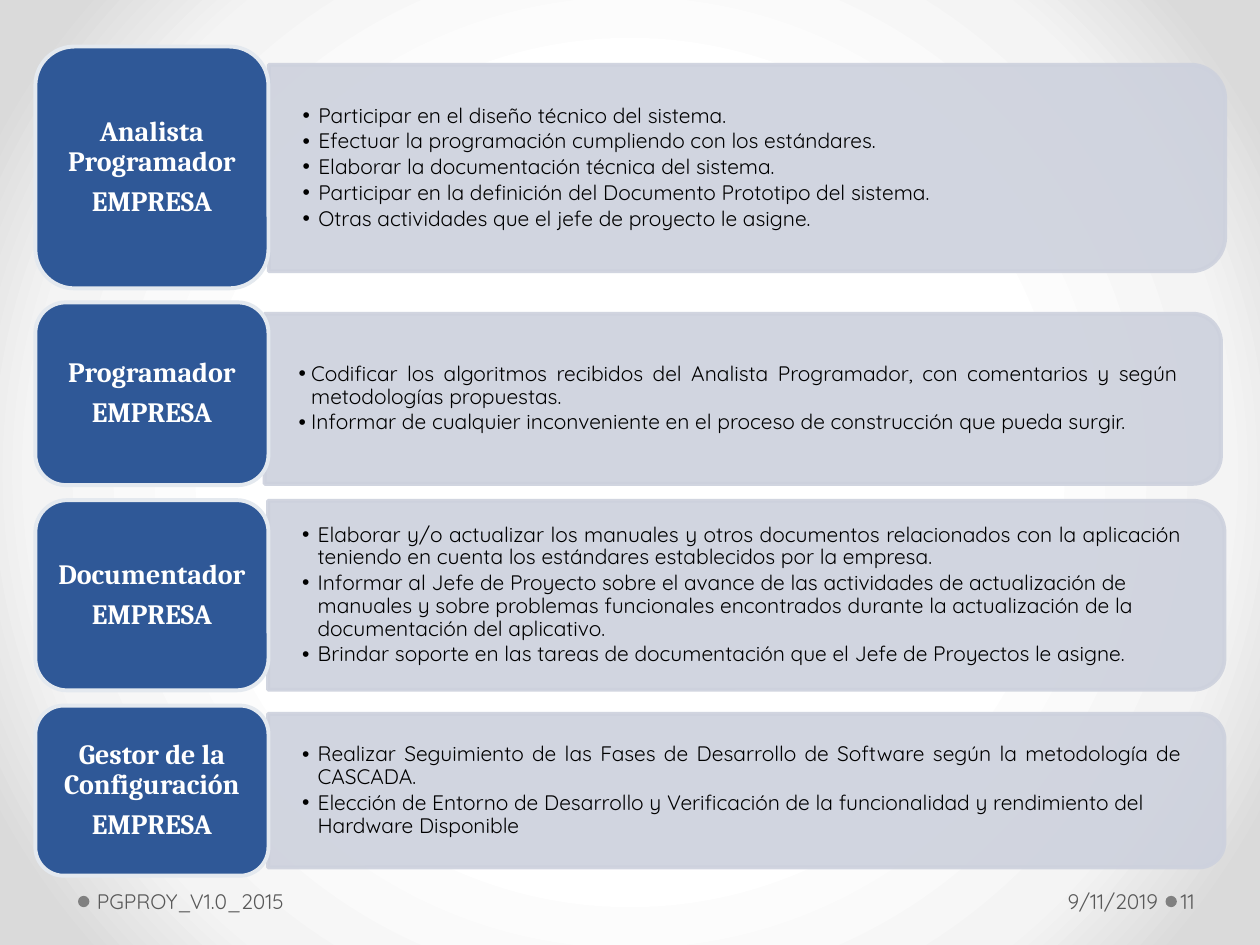
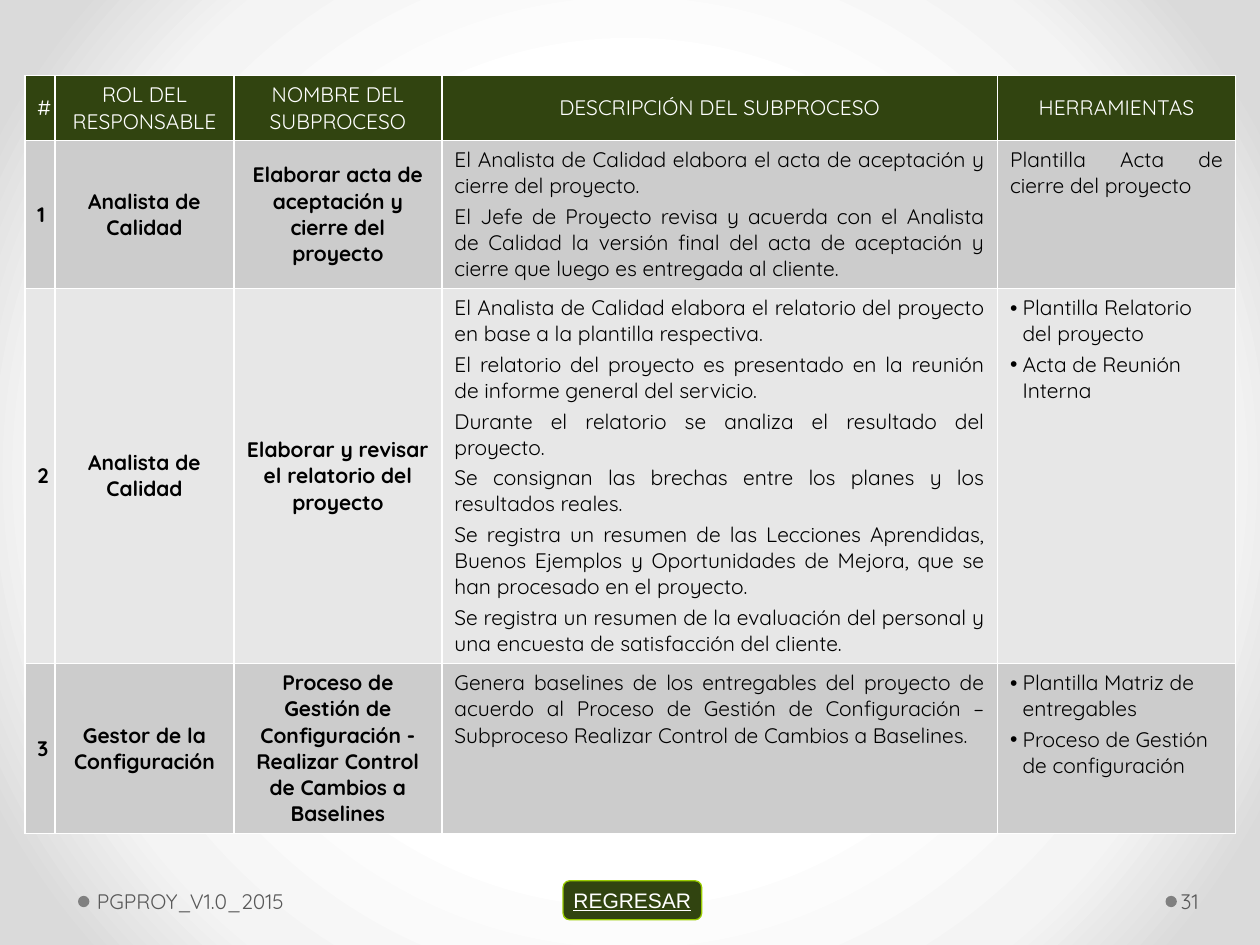
from pptx import Presentation
from pptx.dml.color import RGBColor
from pptx.enum.shapes import MSO_SHAPE as Preset
from pptx.enum.text import MSO_ANCHOR as Anchor, PP_ALIGN as Align
from pptx.oxml import parse_xml
from pptx.oxml.ns import nsdecls, qn
from pptx.util import Pt

BODY_FONT, CARD_FONT, BUTTON_FONT = "Quicksand", "Cambria", "Arial"
WHITE, BLACK = "FFFFFF", "000000"
FOOTER_GREY, DOT_GREY = "595959", "808080"
CARD_BLUE, CARD_EDGE, BAND_GREY = "2F5897", "E4E9EF", "CDD1DD"
HEADER_GREEN, BUTTON_EDGE = "314410", "99CC00"
ROW_GREYS = ("CCCCCC", "E7E7E7")
GLOW = ((50, "FFFFFF"), (76, "F4F4F4"), (92, "DADADA"))

FOOTER_TOP, FOOTER_HEIGHT = 500.4, 28.8
CARD_LEFT, CARD_WIDTH, BAND_WIDTH = 20.2, 133.2, 546.5

# title lines, card (top, height), band (left, top, height), bullet indent, duties
ROLES = [
    (["Analista Programador", "EMPRESA"], (26.6, 138.2), (153.6, 37, 118), 8.9, [
        "Participar en el diseño técnico del sistema.",
        "Efectuar la programación cumpliendo con los estándares.",
        "Elaborar la documentación técnica del sistema.",
        "Participar en la definición del Documento Prototipo del sistema.",
        "Otras actividades que el jefe de proyecto le asigne."]),
    (["Programador", "EMPRESA"], (172.8, 104.4), (151.2, 179.3, 97.2), 7.2, [
        "Codificar los algoritmos recibidos del Analista Programador, con "
        "comentarios y según metodologías propuestas.",
        "Informar de cualquier inconveniente en el proceso de construcción "
        "que pueda surgir."]),
    (["Documentador", "EMPRESA"], (285.8, 108.7), (153.2, 286.2, 108), 8.9, [
        "Elaborar y/o actualizar los manuales y otros documentos relacionados "
        "con la aplicación teniendo en cuenta los estándares establecidos por "
        "la empresa.",
        "Informar al Jefe de Proyecto sobre el avance de las actividades de "
        "actualización de manuales y sobre problemas funcionales encontrados "
        "durante la actualización de la documentación del aplicativo.",
        "Brindar soporte en las tareas de documentación que el Jefe de "
        "Proyectos le asigne."]),
    (["Gestor de la Configuración", "EMPRESA"], (403.2, 97.2), (153.2, 407.9, 87.8), 8.9, [
        "Realizar Seguimiento de las Fases de Desarrollo de Software según la "
        "metodología de CASCADA.",
        "Elección de Entorno de Desarrollo y Verificación de la funcionalidad "
        "y rendimiento del Hardware Disponible"]),
]

COLUMN_WIDTHS = (17.3, 102.2, 118.8, 317.5, 136.1)
ROW_HEIGHTS = (37, 84.6, 214.3, 97.1)
HEADINGS = ("#", "ROL DEL RESPONSABLE", "NOMBRE DEL SUBPROCESO",
            "DESCRIPCIÓN DEL SUBPROCESO", "HERRAMIENTAS")
# role, subprocess, description paragraphs, tools
SUBPROCESSES = [
    ("Analista de Calidad", "Elaborar acta de aceptación y cierre del proyecto",
     ["El Analista de Calidad elabora el acta de aceptación y cierre del proyecto.",
      "El Jefe de Proyecto revisa y acuerda con el Analista de Calidad la versión "
      "final del acta de aceptación y cierre que luego es entregada al cliente."],
     ["Plantilla Acta de cierre del proyecto"]),
    ("Analista de Calidad", "Elaborar y revisar el relatorio del proyecto",
     ["El Analista de Calidad elabora el relatorio del proyecto en base a la "
      "plantilla respectiva.",
      "El relatorio del proyecto es presentado en la reunión de informe general "
      "del servicio.",
      "Durante el relatorio se analiza el resultado del proyecto.",
      "Se consignan las brechas entre los planes y los resultados reales.",
      "Se registra un resumen de las Lecciones Aprendidas, Buenos Ejemplos y "
      "Oportunidades de Mejora, que se han procesado en el proyecto.",
      "Se registra un resumen de la evaluación del personal y una encuesta de "
      "satisfacción del cliente."],
     ["Plantilla Relatorio del proyecto", "Acta de Reunión Interna"]),
    ("Gestor de la Configuración",
     "Proceso de Gestión de Configuración - Realizar Control de Cambios a Baselines",
     ["Genera baselines de los entregables del proyecto de acuerdo al Proceso de "
      "Gestión de Configuración – Subproceso Realizar Control de Cambios a Baselines."],
     ["Plantilla Matriz de entregables", "Proceso de Gestión de configuración"]),
]


def paint(color_format, value):
    color_format.rgb = RGBColor.from_string(value)


def add_bullet(para, indent):
    properties = para._p.get_or_add_pPr()
    properties.set("marL", str(Pt(indent)))
    properties.set("indent", str(-Pt(indent)))
    properties.append(parse_xml(f'<a:buFont {nsdecls("a")} typeface="Arial"/>'))
    properties.append(parse_xml(f'<a:buChar {nsdecls("a")} char="•"/>'))


def write(frame, lines, color, size=12, font=BODY_FONT, bold=False, underline=False,
          align=Align.LEFT, gap=0, spacing=None, bullet=None):
    """Fill a text frame with one paragraph per line; gap is the space between them."""
    for index, line in enumerate(lines):
        para = frame.add_paragraph() if index else frame.paragraphs[0]
        if bullet:
            add_bullet(para, bullet)
        para.alignment = align
        if index and gap:
            para.space_before = Pt(gap)
        if spacing:
            para.line_spacing = spacing
        span = para.add_run()
        span.text = line
        span.font.name, span.font.size = font, Pt(size)
        span.font.bold, span.font.underline = bold, underline
        paint(span.font.color, color)


def set_frame(frame, margins, wrap=True):
    frame.word_wrap = wrap
    frame.vertical_anchor = Anchor.MIDDLE
    (frame.margin_left, frame.margin_top,
     frame.margin_right, frame.margin_bottom) = map(Pt, margins)
    return frame


def add_box(page, left, top, width, height, margins):
    box = page.shapes.add_textbox(Pt(left), Pt(top), Pt(width), Pt(height))
    return set_frame(box.text_frame, margins)


def add_preset(page, preset, left, top, width, height, fill, edge=None, weight=2.25):
    shape = page.shapes.add_shape(preset, Pt(left), Pt(top), Pt(width), Pt(height))
    shape.shadow.inherit = False
    shape.fill.solid()
    paint(shape.fill.fore_color, fill)
    if edge:
        paint(shape.line.color, edge)
        shape.line.width = Pt(weight)
    else:
        shape.line.fill.background()
    return shape


def set_background(master):
    """Radial glow, white in the middle and grey towards the corners."""
    master.background.fill.solid()
    stops = "".join(f'<a:gs pos="{place * 1000}"><a:srgbClr val="{color}"/></a:gs>'
                    for place, color in GLOW)
    properties = master._element.find(".//" + qn("p:bgPr"))
    properties.replace(properties[0], parse_xml(
        f'<a:gradFill {nsdecls("a")} rotWithShape="1"><a:gsLst>{stops}</a:gsLst>'
        '<a:path path="circle"><a:fillToRect l="50000" t="50000" r="50000" b="50000"/>'
        '</a:path></a:gradFill>'))


def add_page(deck, number, date=None):
    """Blank page with the shared footer."""
    page = deck.slides.add_slide(deck.slide_layouts[6])
    for left in (44.6, 666):
        add_preset(page, Preset.OVAL, left, 511.9, 6.5, 6.5, DOT_GREY)
    parts = [("PGPROY_V1.0_2015", 51.8, 285.1, (3.6, 3.6, 7.2, 3.6), Align.LEFT),
             (date, 501.1, 164.2, (7.2, 3.6, 3.6, 3.6), Align.RIGHT),
             (str(number), 672.5, 43.9, (2.2, 3.6, 3.6, 3.6), Align.LEFT)]
    for text, left, width, margins, align in parts:
        if text:
            frame = add_box(page, left, FOOTER_TOP, width, FOOTER_HEIGHT, margins)
            write(frame, [text], FOOTER_GREY, align=align)
    return page


def add_band(page, left, top, width, height):
    """Bar rounded on its right side: a top-rounded shape turned a quarter."""
    band = add_preset(page, Preset.ROUND_2_SAME_RECTANGLE,
                      left + (width - height) / 2, top + (height - width) / 2,
                      height, width, BAND_GREY, BAND_GREY)
    band.rotation = 90
    for color in band._element.spPr.iter(qn("a:srgbClr")):
        color.append(parse_xml(f'<a:alpha {nsdecls("a")} val="90000"/>'))


def add_role(page, titles, card_place, band_place, indent, duties):
    left, top, height = band_place
    add_band(page, left, top, BAND_WIDTH, height)
    frame = add_box(page, left, top, BAND_WIDTH - 5, height, (19.4, 10, 19.4, 10))
    write(frame, duties, BLACK, gap=1.8, spacing=0.9, bullet=indent)
    frame.paragraphs[0].alignment = Align.JUSTIFY

    card_top, card_height = card_place
    card = add_preset(page, Preset.ROUNDED_RECTANGLE, CARD_LEFT, card_top,
                      CARD_WIDTH, card_height, CARD_BLUE, CARD_EDGE)
    write(set_frame(card.text_frame, (5, 2.2, 5, 2.2)), titles, WHITE, size=16,
          font=CARD_FONT, bold=True, align=Align.CENTER, gap=5.6, spacing=0.9)


def style_cell(cell, fill, anchor):
    cell.vertical_anchor = anchor
    cell.margin_left = cell.margin_right = Pt(7.2)
    cell.margin_top = cell.margin_bottom = Pt(3.6)
    properties = cell._tc.get_or_add_tcPr()
    for side in ("lnL", "lnR", "lnT", "lnB"):
        properties.append(parse_xml(
            f'<a:{side} {nsdecls("a")} w="{Pt(1)}"><a:solidFill>'
            f'<a:srgbClr val="{WHITE}"/></a:solidFill></a:{side}>'))
    cell.fill.solid()
    paint(cell.fill.fore_color, fill)


def add_subprocess_table(page, left, top):
    table = page.shapes.add_table(
        len(ROW_HEIGHTS), len(COLUMN_WIDTHS), Pt(left), Pt(top),
        Pt(sum(COLUMN_WIDTHS)), Pt(sum(ROW_HEIGHTS))).table
    table.first_row = table.horz_banding = False
    for column, width in zip(table.columns, COLUMN_WIDTHS):
        column.width = Pt(width)
    for row, height in zip(table.rows, ROW_HEIGHTS):
        row.height = Pt(height)

    for cell, heading in zip(table.rows[0].cells, HEADINGS):
        style_cell(cell, HEADER_GREEN, Anchor.MIDDLE)
        write(cell.text_frame, [heading], WHITE, align=Align.CENTER)

    for number, (role, name, description, tools) in enumerate(SUBPROCESSES, 1):
        cells = list(table.rows[number].cells)
        for index, cell in enumerate(cells):
            style_cell(cell, ROW_GREYS[(number - 1) % 2],
                       Anchor.MIDDLE if index < 3 else Anchor.TOP)
        for cell, text in zip(cells, (str(number), role, name)):
            write(cell.text_frame, [text], BLACK, bold=True, align=Align.CENTER)
        write(cells[3].text_frame, description, BLACK, align=Align.JUSTIFY, gap=2.4)
        listed = len(tools) > 1
        write(cells[4].text_frame, tools, BLACK, gap=2.4,
              align=Align.LEFT if listed else Align.JUSTIFY,
              bullet=7.2 if listed else None)


def add_return_button(page, left, top, width, height):
    button = add_preset(page, Preset.FLOWCHART_ALTERNATE_PROCESS, left, top, width,
                        height, HEADER_GREEN, BUTTON_EDGE, 0.75)
    write(set_frame(button.text_frame, (7.2, 3.6, 7.2, 3.6), wrap=False), ["REGRESAR"],
          WHITE, font=BUTTON_FONT, underline=True, align=Align.CENTER)


def main():
    deck = Presentation()
    deck.slide_width, deck.slide_height = Pt(720), Pt(540)
    set_background(deck.slide_master)

    roles_page = add_page(deck, 11, "9/11/2019")
    for role in ROLES:
        add_role(roles_page, *role)

    table_page = add_page(deck, 31)
    add_subprocess_table(table_page, 14.2, 43.2)
    add_return_button(table_page, 321.8, 503.3, 79.2, 22.3)

    deck.save("out.pptx")


if __name__ == "__main__":
    main()
